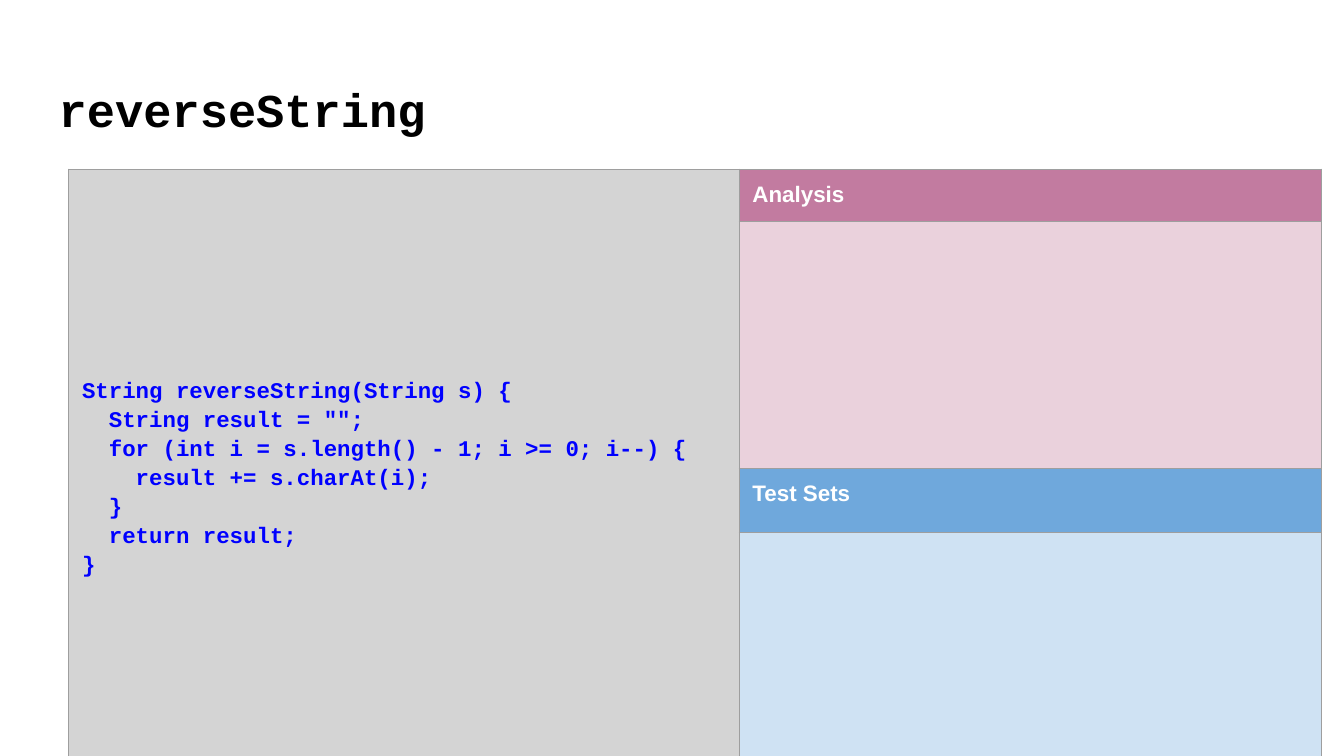
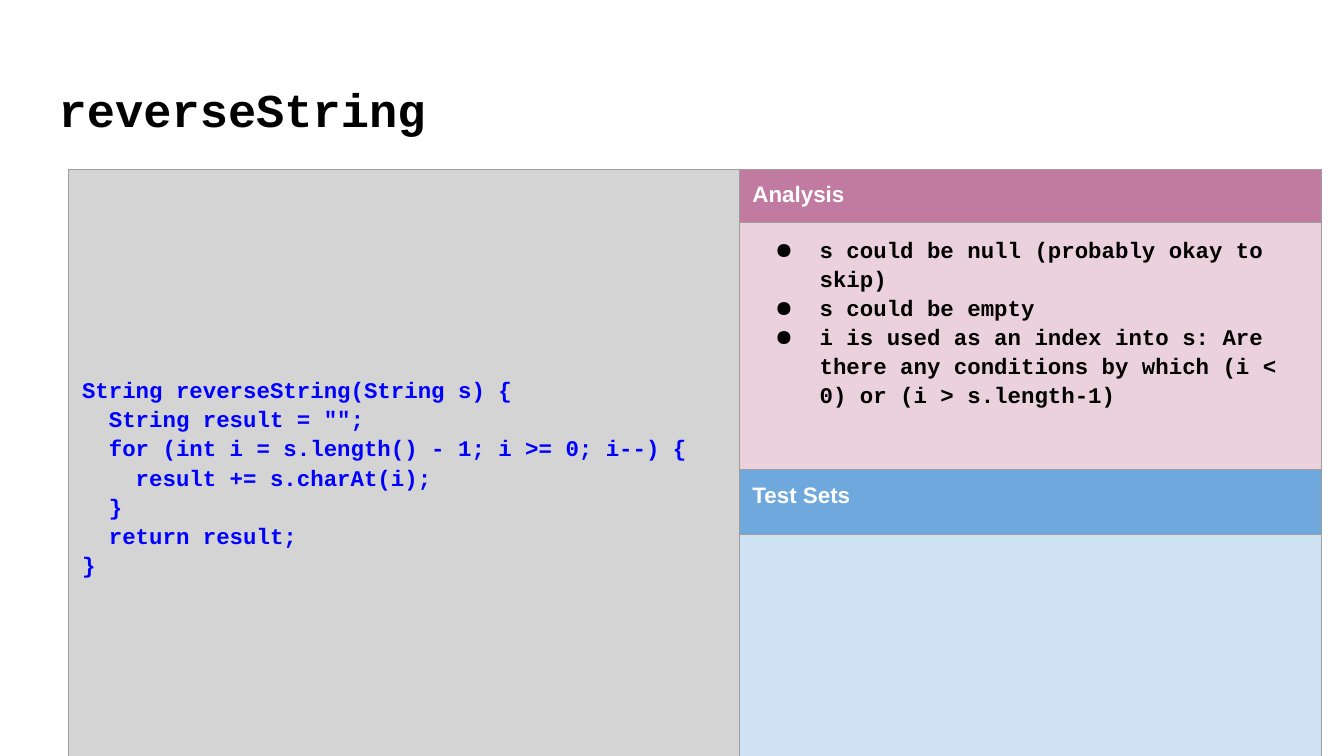
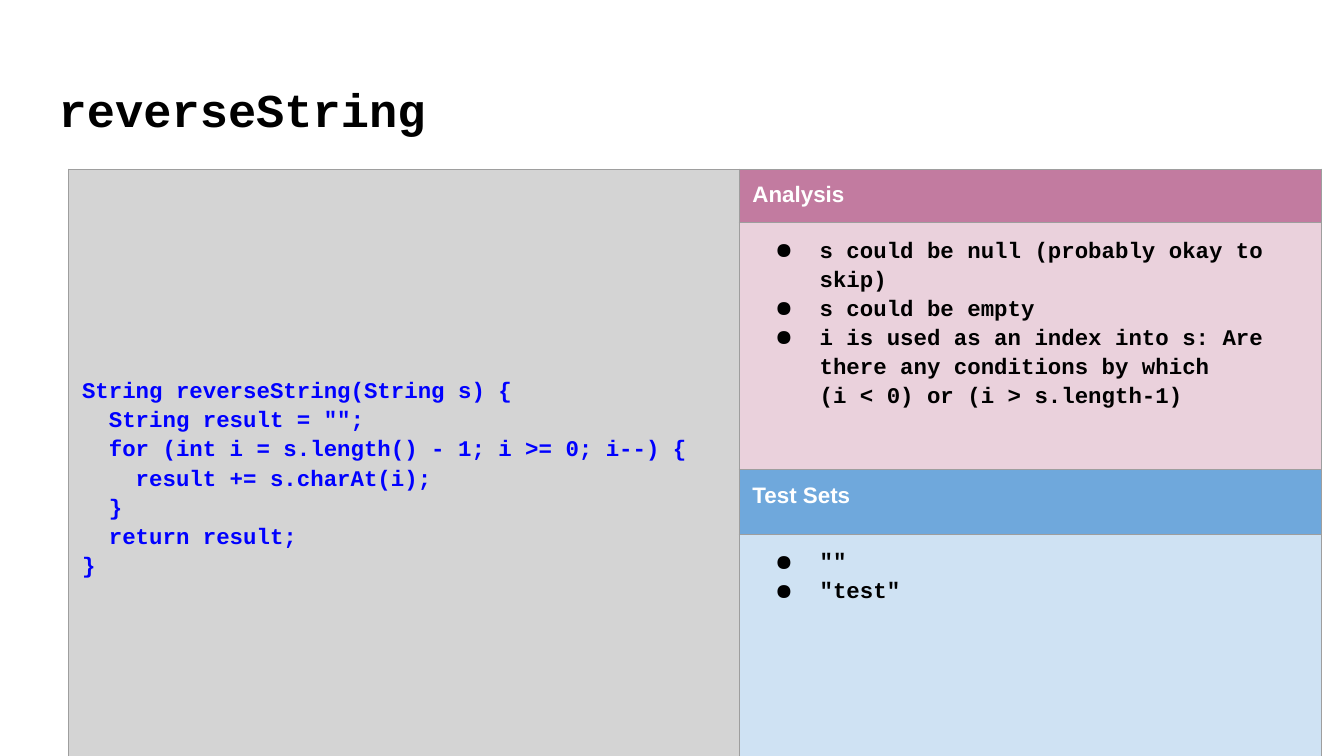
"""Build three slides that review a string reversing method."""
from lxml.etree import SubElement as Sub
from pptx import Presentation
from pptx.dml.color import RGBColor
from pptx.enum.text import MSO_ANCHOR as Anchor
from pptx.oxml.ns import qn
from pptx.util import Cm, Pt

MONO, SANS = "Courier New", "Arial"
BLACK, WHITE, BLUE, EDGE = "000000", "FFFFFF", "0000FF", "9E9E9E"
GRAY, ROSE, PINK, SKY, PALE = "D4D4D4", "C27BA0", "EAD1DC", "6FA8DC", "CFE2F3"
PAD = 0.25
COLS = (12.67, 11)
ROWS = (0.98, 4.67, 1.22, 4.78)
TITLE_BOX = (0.86, 1.24, 23.67, 1.6)
GRID_BOX = (1.3, 3.2, sum(COLS), sum(ROWS))

CODE = """String reverseString(String s) {
  String result = "";
  for (int i = s.length() - 1; i >= 0; i--) {
    result += s.charAt(i);
  }
  return result;
}"""
NOTES = ["s could be null (probably okay to skip)", "s could be empty"]
ASK = "i is used as an index into s: Are there any conditions by which"
RANGE = "(i < 0) or (i > s.length-1)"
SLIDES = [
    ([], []),
    (NOTES + [f"{ASK} {RANGE}"], []),
    (NOTES + [f"{ASK}\n{RANGE}"], ['""', '"test"']),
]


def color(code):
    """Turn a hex string into a colour."""
    return RGBColor.from_string(code)


def write(par, text, face, ink, size=12):
    """Fill a paragraph with bold text, keeping line breaks inside it."""
    par.text = text.replace("\n", "\v")
    font = par.font
    font.name, font.size, font.bold = face, Pt(size), True
    font.color.rgb = color(ink)


def pad(item):
    """Give a cell or text frame equal margins."""
    item.margin_left = item.margin_right = Cm(PAD)
    item.margin_top = item.margin_bottom = Cm(PAD)


def paint(cell, fill):
    """Set the margins, borders and fill of a cell."""
    pad(cell)
    props = cell._tc.get_or_add_tcPr()
    for side in ("lnL", "lnR", "lnT", "lnB"):
        line = Sub(props, qn(f"a:{side}"), w=str(Pt(0.75)))
        Sub(Sub(line, qn("a:solidFill")), qn("a:srgbClr"), val=EDGE)
    cell.fill.solid()
    cell.fill.fore_color.rgb = color(fill)


def bullet(par):
    """Hang a round black bullet before a paragraph."""
    par.line_spacing = 1.15
    props = par._p.get_or_add_pPr()
    props.set("marL", str(Cm(1.27)))
    props.set("indent", str(Cm(-0.84)))
    Sub(Sub(props, qn("a:buClr")), qn("a:srgbClr"), val=BLACK)
    Sub(props, qn("a:buChar"), char="●")


def add_list(cell, items):
    """Write a bulleted list into a cell."""
    frame = cell.text_frame
    for num, item in enumerate(items):
        par = frame.add_paragraph() if num else frame.paragraphs[0]
        write(par, item, MONO, BLACK)
        bullet(par)


def add_title(slide, box, text):
    """Place the slide title in a box."""
    frame = slide.shapes.add_textbox(*map(Cm, box)).text_frame
    frame.word_wrap = True
    frame.vertical_anchor = Anchor.BOTTOM
    pad(frame)
    write(frame.paragraphs[0], text, MONO, BLACK, 25.2)


def add_code(cell):
    """Write the method under review into its cell."""
    cell.vertical_anchor = Anchor.MIDDLE
    par = cell.text_frame.paragraphs[0]
    write(par, CODE, MONO, BLUE)
    par.line_spacing, par.space_after = 1.15, Pt(12)


def add_grid(slide, box, notes, tests):
    """Place the code beside its analysis and test sets."""
    grid = slide.shapes.add_table(len(ROWS), len(COLS), *map(Cm, box)).table
    grid.first_row = grid.horz_banding = False
    for col, wide in zip(grid.columns, COLS):
        col.width = Cm(wide)
    for num, (tall, fill) in enumerate(zip(ROWS, (ROSE, PINK, SKY, PALE))):
        grid.rows[num].height = Cm(tall)
        paint(grid.cell(num, 0), GRAY)
        paint(grid.cell(num, 1), fill)
    grid.cell(0, 0).merge(grid.cell(len(ROWS) - 1, 0))
    add_code(grid.cell(0, 0))
    parts = (("Analysis", notes), ("Test Sets", tests))
    for num, (head, items) in enumerate(parts):
        par = grid.cell(2 * num, 1).text_frame.paragraphs[0]
        write(par, head, SANS, WHITE)
        add_list(grid.cell(2 * num + 1, 1), items)


def main():
    """Build and save the deck."""
    deck = Presentation()
    deck.slide_width, deck.slide_height = Cm(25.4), Cm(14.29)
    for notes, tests in SLIDES:
        slide = deck.slides.add_slide(deck.slide_layouts[6])
        add_grid(slide, GRID_BOX, notes, tests)
        add_title(slide, TITLE_BOX, "reverseString")
    deck.save("out.pptx")


if __name__ == "__main__":
    main()
